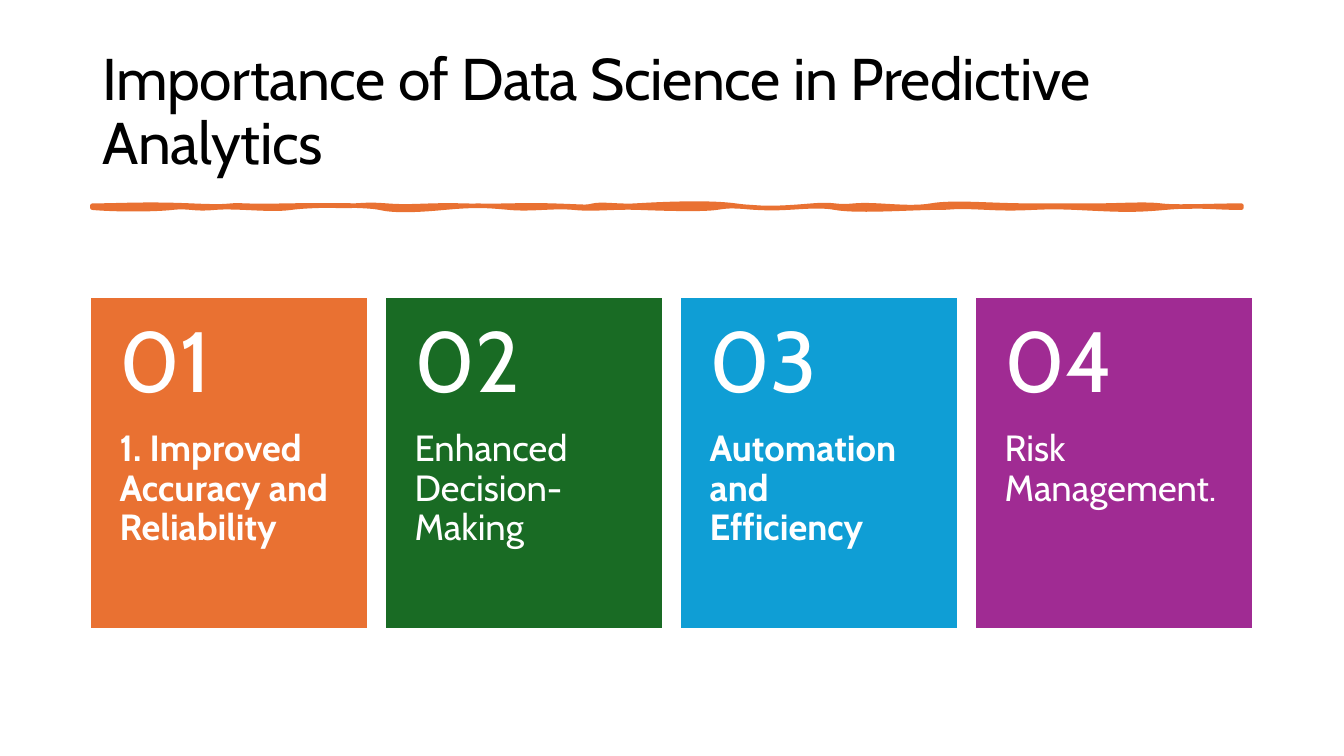
import dataclasses

import lxml.etree
import pptx
import pptx.dml.color
import pptx.enum.shapes
import pptx.enum.text
import pptx.oxml.ns
import pptx.util

PX = 3048  # 300 px to the inch
FONT = "Cabin"
ORANGE, WHITE, BLACK = "E97132", "FFFFFF", "000000"
TOP, MIDDLE = pptx.enum.text.MSO_ANCHOR.TOP, pptx.enum.text.MSO_ANCHOR.MIDDLE

MARGIN = 275
CARD_TOP, CARD_PITCH = 891, 878
CARD_WIDTH, CARD_HEIGHT, NUMBER_HEIGHT = 813, 975, 390
CARD_INSET = 81
WAVE_UNIT = 3  # px in one unit of the brush rule's edges


@dataclasses.dataclass(frozen=True)
class Card:
    label: str
    colour: str
    bold: bool


@dataclasses.dataclass(frozen=True)
class Edge:
    """Smooth chain of curves whose joints all lie at height y.

    Each wave gives the control point before a joint, then the joint's x.
    """
    start: int
    first_control: int
    y: int
    waves: tuple[tuple[int, int, int], ...]


CARDS = (
    Card("1. Improved Accuracy and Reliability", ORANGE, True),
    Card("Enhanced Decision-Making", "196B24", False),
    Card("Automation and Efficiency", "0F9ED5", True),
    Card("Risk Management.", "A02B93", False),
)

UPPER_EDGE = Edge(92, 119, 204, (
    (144, 202, 190), (220, 203, 244), (303, 203, 331), (359, 202, 384),
    (423, 203, 460), (514, 203, 548), (581, 206, 589), (615, 205, 631),
    (701, 200, 730), (781, 206, 806), (827, 206, 848), (901, 208, 924),
    (982, 204, 1023), (1063, 204, 1087), (1136, 202, 1152), (1203, 204, 1232),
))
LOWER_EDGE = Edge(1232, 1205, 206, (
    (1189, 203, 1156), (1110, 208, 1068), (1023, 208, 981), (952, 206, 928),
    (851, 210, 829), (782, 208, 753), (725, 204, 711), (661, 207, 635),
    (590, 208, 570), (528, 208, 506), (473, 203, 441), (390, 209, 377),
    (310, 203, 289), (235, 204, 213), (189, 204, 171), (114, 208, 92),
))


def px(length: int) -> pptx.util.Emu:
    return pptx.util.Emu(length * PX)


def rgb(colour: str) -> pptx.dml.color.RGBColor:
    return pptx.dml.color.RGBColor.from_string(colour)


def paint(shape, colour: str, line_points: float) -> None:
    """Give the shape one colour for fill and line, and no shadow."""
    shape.shadow.inherit = False
    shape.fill.solid()
    shape.fill.fore_color.rgb = rgb(colour)
    shape.line.color.rgb = rgb(colour)
    shape.line.width = pptx.util.Pt(line_points)


def write(frame, text: str, size: int, colour: str, anchor, bold: bool = False):
    frame.word_wrap = True
    frame.auto_size = pptx.enum.text.MSO_AUTO_SIZE.NONE
    frame.vertical_anchor = anchor
    para = frame.paragraphs[0]
    para.alignment = pptx.enum.text.PP_ALIGN.LEFT
    para.line_spacing = 0.9
    span = para.add_run()
    span.text = text
    span.font.name = FONT
    span.font.size = pptx.util.Pt(size)
    span.font.bold = bold
    span.font.color.rgb = rgb(colour)
    return span


def add_title(page) -> None:
    title = page.shapes.title
    title.left, title.top, title.width, title.height = map(
        px, (MARGIN, 120, 3450, 435))
    span = write(title.text_frame,
                 "Importance of Data Science in Predictive Analytics",
                 42, BLACK, MIDDLE)
    span._r.get_or_add_rPr().set("spc", "-30")


def edge_curves(edge: Edge) -> list[tuple[tuple[int, int], ...]]:
    """List two controls and a joint per curve, mirroring controls at joints."""
    curves = []
    control = (edge.first_control, edge.y)
    for x, y, joint in edge.waves:
        curves.append((control, (x, y), (joint, edge.y)))
        control = (2 * joint - x, 2 * edge.y - y)
    return curves


def add_brush_rule(page) -> None:
    corner = (LOWER_EDGE.start, LOWER_EDGE.y)
    curves = [*edge_curves(UPPER_EDGE), (corner,) * 3, *edge_curves(LOWER_EDGE)]
    left, top = UPPER_EDGE.start, UPPER_EDGE.y
    builder = page.shapes.build_freeform(left, top, scale=WAVE_UNIT * PX)
    builder.add_line_segments([curve[-1] for curve in curves], close=True)
    rule = builder.convert_to_shape()
    rule.left = px(MARGIN)
    paint(rule, ORANGE, 3.25)

    qn = pptx.oxml.ns.qn
    segments = list(rule._element.iter(qn("a:lnTo")))
    for segment, curve in zip(segments, curves):
        bend = lxml.etree.Element(qn("a:cubicBezTo"))
        for x, y in curve:
            lxml.etree.SubElement(bend, qn("a:pt"),
                                  x=str(x - left), y=str(y - top))
        segment.getparent().replace(segment, bend)


def add_card_text(page, left: int, top: int, height: int,
                  insets: tuple[int, int], text: str, size: int, anchor,
                  bold: bool = False) -> None:
    box = page.shapes.add_textbox(px(left), px(top), px(CARD_WIDTH), px(height))
    frame = box.text_frame
    frame.margin_left = frame.margin_right = px(CARD_INSET)
    frame.margin_top, frame.margin_bottom = map(px, insets)
    write(frame, text, size, WHITE, anchor, bold)


def add_card(page, index: int, card: Card) -> None:
    left = MARGIN + index * CARD_PITCH
    panel = page.shapes.add_shape(
        pptx.enum.shapes.MSO_SHAPE.RECTANGLE,
        px(left), px(CARD_TOP), px(CARD_WIDTH), px(CARD_HEIGHT))
    paint(panel, card.colour, 1.5)
    lxml.etree.SubElement(panel.line._get_or_add_ln(),
                          pptx.oxml.ns.qn("a:miter"), lim="800000")
    add_card_text(page, left, CARD_TOP + NUMBER_HEIGHT,
                  CARD_HEIGHT - NUMBER_HEIGHT, (0, 108),
                  card.label, 26, TOP, card.bold)
    add_card_text(page, left, CARD_TOP, NUMBER_HEIGHT, (54, 54),
                  f"{index + 1:02d}", 61, MIDDLE)


def main() -> None:
    deck = pptx.Presentation()
    deck.slide_width, deck.slide_height = px(4000), px(2250)
    page = deck.slides.add_slide(deck.slide_layouts.get_by_name("Title Only"))
    add_title(page)
    add_brush_rule(page)
    for index, card in enumerate(CARDS):
        add_card(page, index, card)
    deck.save("out.pptx")


if __name__ == "__main__":
    main()
